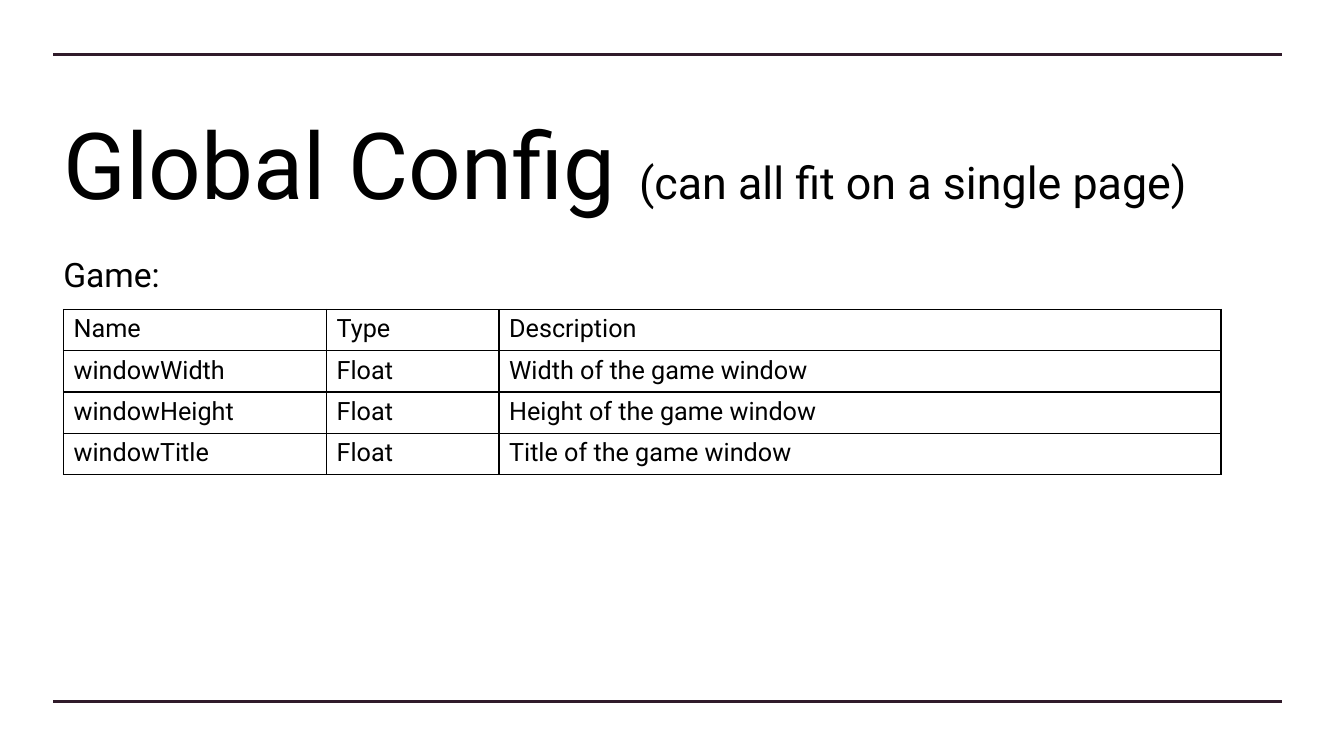
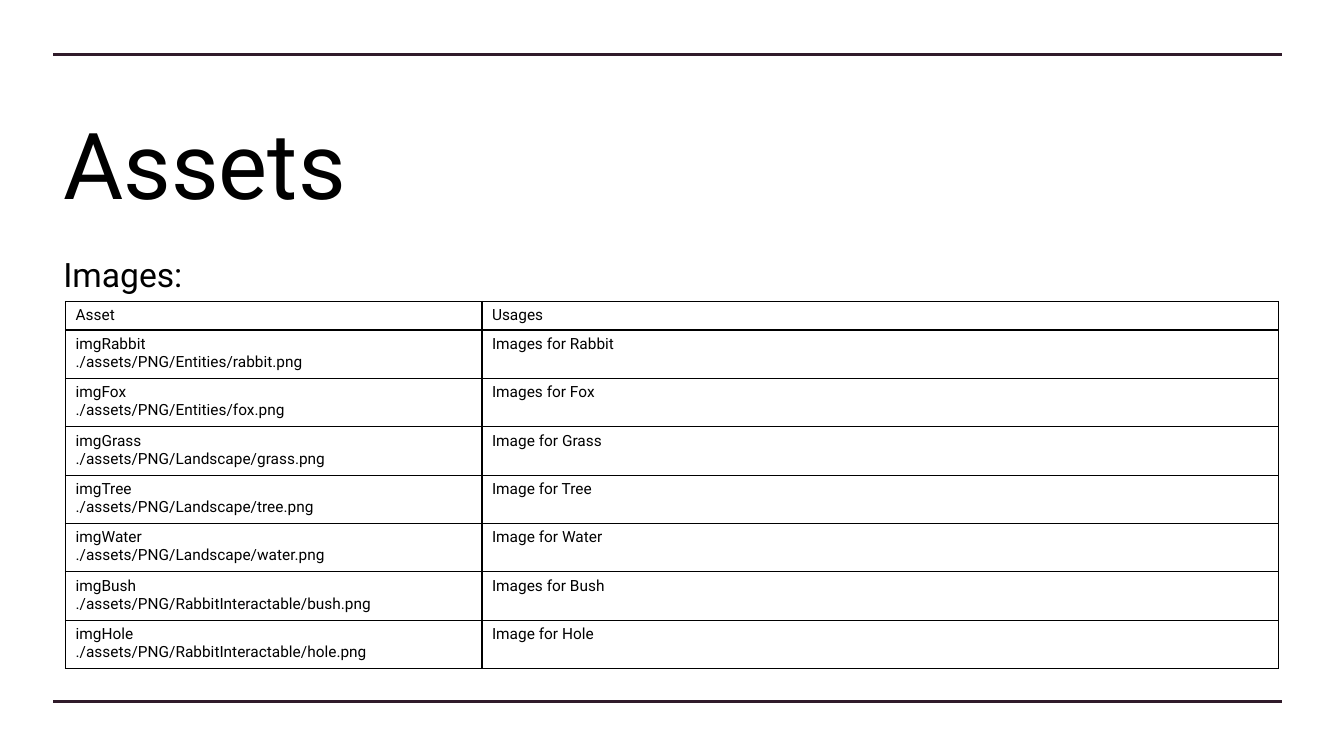
from lxml import etree
from pptx import Presentation
from pptx.dml.color import RGBColor
from pptx.enum.shapes import MSO_CONNECTOR
from pptx.enum.text import MSO_ANCHOR
from pptx.oxml import parse_xml
from pptx.oxml.ns import nsdecls, qn
from pptx.util import Inches, Pt

STRAIGHT = MSO_CONNECTOR.STRAIGHT
TOP, BOTTOM = MSO_ANCHOR.TOP, MSO_ANCHOR.BOTTOM

FONT = "Roboto"
INK = "000000"
RULE = "301B2A"
WIDTH, HEIGHT = 13.33, 7.5
LEFT, RULE_RIGHT = 0.53, 12.72
RULE_MARGIN = 0.54
TEXT_WIDTH = 11.49


def color(hex_string):
    return RGBColor.from_string(hex_string)


def add_run(paragraph, text, size):
    run = paragraph.add_run()
    run.text = text
    run.font.size = Pt(size)
    run.font.name = FONT
    run.font.color.rgb = color(INK)


images = [
    ("Rabbit", "Entities", "Images"),
    ("Fox", "Entities", "Images"),
    ("Grass", "Landscape", "Image"),
    ("Tree", "Landscape", "Image"),
    ("Water", "Landscape", "Image"),
    ("Bush", "RabbitInteractable", "Images"),
    ("Hole", "RabbitInteractable", "Image"),
]

pages = [
    {
        "title": [("Global Config ", 66), ("(can all fit on a single page)", 32)],
        "section": "Game:",
        "origin": (0.63, 3.07),
        "columns": [2.61, 1.71, 7.16],
        "row_heights": [0.41] * 4,
        "size": 18,
        "rows": [("Name", "Type", "Description")] + [
            (f"window{part}", "Float", f"{part} of the game window")
            for part in ("Width", "Height", "Title")
        ],
    },
    {
        "title": [("Assets", 66)],
        "section": "Images:",
        "origin": (0.65, 2.99),
        "columns": [4.13, 7.9],
        "row_heights": [0.28] + [0.48] * len(images),
        "size": 11,
        "rows": [("Asset", "Usages")] + [
            (f"img{name}\n./assets/PNG/{folder}/{name.lower()}.png",
             f"{noun} for {name}")
            for name, folder, noun in images
        ],
    },
]

prs = Presentation()
prs.slide_width, prs.slide_height = Inches(WIDTH), Inches(HEIGHT)
blank = prs.slide_layouts[6]

for page in pages:
    slide = prs.slides.add_slide(blank)

    for y in (HEIGHT - RULE_MARGIN, RULE_MARGIN):
        rule = slide.shapes.add_connector(
            STRAIGHT, Inches(LEFT), Inches(y), Inches(RULE_RIGHT), Inches(y))
        rule.line.color.rgb = color(RULE)
        rule.line.width = Pt(2.25)
        etree.SubElement(rule._element.spPr, qn("a:effectLst"))

    for top, height, anchor, space_before, runs in (
        (-0.59, 2.77, BOTTOM, 0, page["title"]),
        (2.44, 3.99, TOP, 10, [(page["section"], 24)]),
    ):
        frame = slide.shapes.add_textbox(
            Inches(LEFT), Inches(top), Inches(TEXT_WIDTH), Inches(height)).text_frame
        frame.word_wrap = True
        frame.vertical_anchor = anchor
        frame.margin_top, frame.margin_bottom = Inches(0.08), Inches(0.02)
        frame.paragraphs[0].space_before = Pt(space_before)
        for text, size in runs:
            add_run(frame.paragraphs[0], text, size)

    columns, row_heights = page["columns"], page["row_heights"]
    left, top = page["origin"]
    table = slide.shapes.add_table(
        len(row_heights), len(columns), Inches(left), Inches(top),
        Inches(sum(columns)), Inches(sum(row_heights))).table
    table.first_row = table.horz_banding = False
    for column, width in zip(table.columns, columns):
        column.width = Inches(width)
    for row, height, texts in zip(table.rows, row_heights, page["rows"]):
        row.height = Inches(height)
        for cell, text in zip(row.cells, texts):
            for index, line in enumerate(text.split("\n")):
                frame = cell.text_frame
                paragraph = frame.add_paragraph() if index else frame.paragraphs[0]
                add_run(paragraph, line, page["size"])
            cell.fill.background()
            properties = cell._tc.get_or_add_tcPr()
            for position, side in enumerate(("lnL", "lnR", "lnT", "lnB")):
                properties.insert(position, parse_xml(
                    f'<a:{side} {nsdecls("a")} w="{Pt(1)}"><a:solidFill>'
                    f'<a:srgbClr val="{INK}"/></a:solidFill></a:{side}>'))

prs.save("out.pptx")
